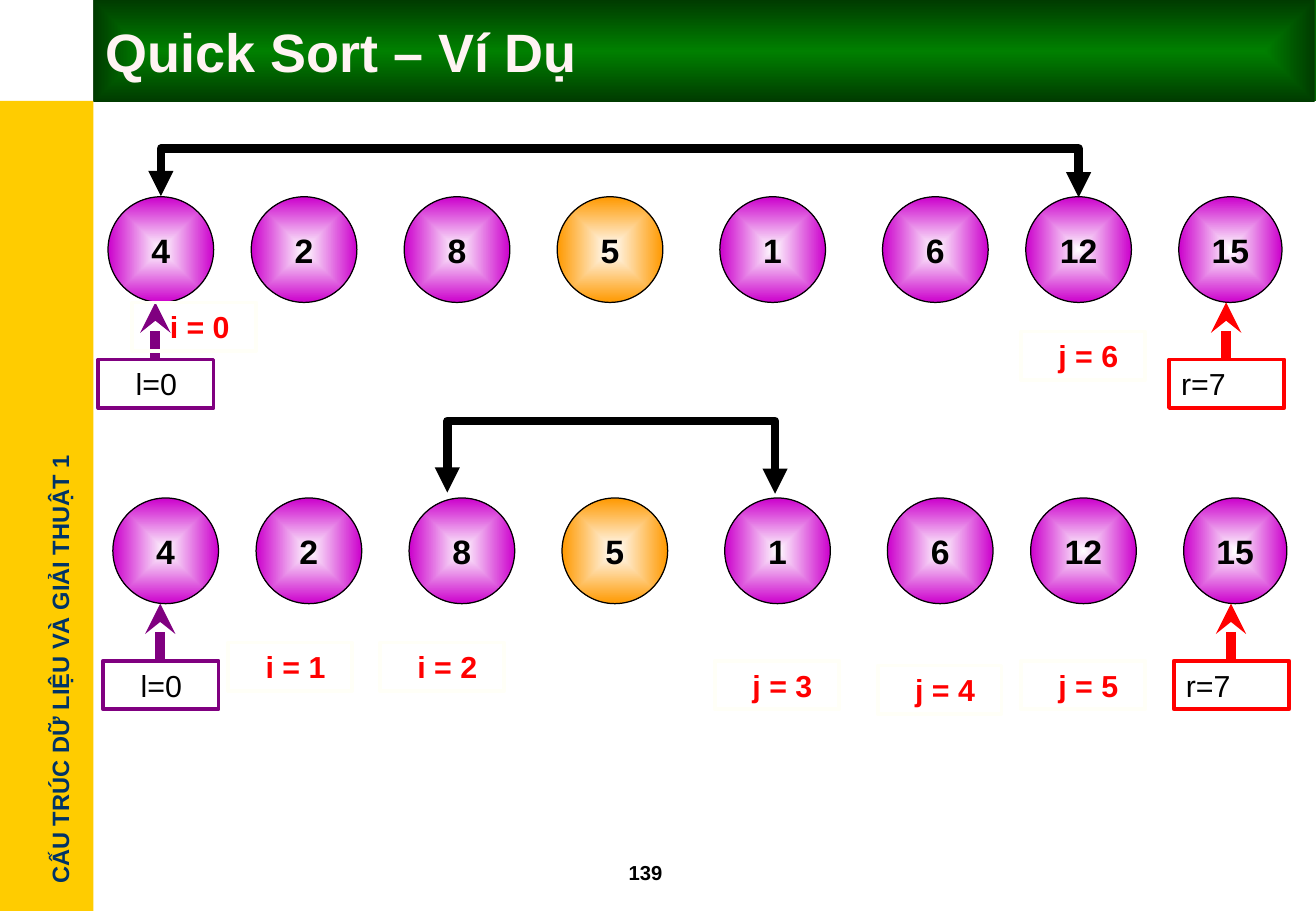
"""Build the Quick Sort example slide."""
from dataclasses import dataclass

from pptx import Presentation
from pptx.dml.color import RGBColor
from pptx.dml.fill import FillFormat
from pptx.enum.shapes import MSO_CONNECTOR, MSO_SHAPE
from pptx.enum.text import MSO_ANCHOR, MSO_AUTO_SIZE, PP_ALIGN
from pptx.oxml.ns import qn
from pptx.shapes.autoshape import Shape
from pptx.shapes.connector import Connector
from pptx.slide import Slide
from pptx.text.text import TextFrame
from pptx.util import Inches, Pt
from lxml import etree

RECTANGLE, OVAL = MSO_SHAPE.RECTANGLE, MSO_SHAPE.OVAL
STRAIGHT, ELBOW = MSO_CONNECTOR.STRAIGHT, MSO_CONNECTOR.ELBOW
TOP, MIDDLE = MSO_ANCHOR.TOP, MSO_ANCHOR.MIDDLE
LEFT, CENTER = PP_ALIGN.LEFT, PP_ALIGN.CENTER
NO_AUTOFIT = MSO_AUTO_SIZE.NONE

FONT = "Arial"
COLORS = {
    "sidebar": "FFCC00", "course": "003366", "title": "FFF3F3",
    "bar_dark": "002F00", "bar_green": "006600",
    "title_center": "008000", "title_edge": "003B00",
    "white": "FFFFFF", "black": "000000",
    "value": "CC00CC", "pivot": "FF9900",
    "left": "800080", "right": "FF0000",
    "index": "FF0000", "index_border": "FFFFF7",
}
VALUES = (4, 2, 8, 5, 1, 6, 12, 15)
PIVOT = 5
VALUE_OFFSETS = (0, 1.18, 2.44, 3.7, 5.04, 6.38, 7.56, 8.82)
DIAMETER = 0.87
SWAP_DEPTH = 0.01
LABEL_INDENT = 0.21


@dataclass(frozen=True)
class Swap:
    """Bracket joining the two values to exchange."""
    start: float
    end: float
    top: float
    bottom: float


@dataclass(frozen=True)
class Step:
    """One row of the array with its swap bracket."""
    left: float
    top: float
    swap: Swap


@dataclass(frozen=True)
class Pointer:
    """Boundary pointer, placed relative to its row."""
    text: str
    box_offset: float
    arrow_offset: float
    color: str
    indent: float


@dataclass(frozen=True)
class IndexLabel:
    """Running index value."""
    text: str
    left: float
    top: float


STEPS = (
    Step(0.89, 1.62, Swap(1.32, 8.88, 1.22, 1.62)),
    Step(0.93, 4.1, Swap(3.68, 6.38, 3.46, 4.06)),
)
POINTERS = (
    Pointer("l=0", -0.08, 0.39, "left", LABEL_INDENT),
    Pointer("r=7", 8.74, 9.21, "right", 0),
)
INDEX_LABELS = (
    IndexLabel("j = 6", 8.41, 2.73),
    IndexLabel("i = 0", 1.09, 2.49),
    IndexLabel("i = 1", 1.88, 5.29),
    IndexLabel("j = 5", 8.41, 5.44),
    IndexLabel("i = 2", 3.13, 5.29),
    IndexLabel("j = 4", 7.23, 5.48),
    IndexLabel("j = 3", 5.89, 5.44),
)


def rgb(name: str) -> RGBColor:
    """Return a named colour."""
    return RGBColor.from_string(COLORS[name])


def write(frame: TextFrame, text: str, size: float, color: str, bold: bool = True,
          align: PP_ALIGN = LEFT, anchor: MSO_ANCHOR = TOP, wrap: bool = True,
          indent: float = 0) -> None:
    """Write one formatted run into a text frame."""
    frame.auto_size = NO_AUTOFIT
    frame.word_wrap = wrap
    frame.vertical_anchor = anchor
    paragraph = frame.paragraphs[0]
    paragraph.alignment = align
    if indent:
        paragraph._p.get_or_add_pPr().set("marL", str(Inches(indent)))
    run = paragraph.add_run()
    run.text = text
    run.font.name = FONT
    run.font.size = Pt(size)
    run.font.bold = bold
    run.font.color.rgb = rgb(color)


def fill_gradient(fill: FillFormat, first: str, last: str, from_center: bool = True) -> None:
    """Apply a two-colour gradient, rectangular or horizontal."""
    fill.gradient()
    for stop, color in zip(fill.gradient_stops, (first, last)):
        stop.color.rgb = rgb(color)
    fill.gradient_angle = 0
    if from_center:
        linear = next(fill._xPr.iter(qn("a:lin")))
        gradient = linear.getparent()
        gradient.remove(linear)
        shade = etree.SubElement(gradient, qn("a:path"), path="rect")
        etree.SubElement(shade, qn("a:fillToRect"), dict.fromkeys("ltrb", "50000"))


def add_box(slide: Slide, kind: MSO_SHAPE, left: float, top: float, width: float,
            height: float, line: str = "", weight: float = 0.75) -> Shape:
    """Add an unfilled shape with an optional outline."""
    shape = slide.shapes.add_shape(kind, Inches(left), Inches(top), Inches(width), Inches(height))
    shape.shadow.inherit = False
    shape.fill.background()
    if line:
        shape.line.color.rgb = rgb(line)
        shape.line.width = Pt(weight)
    else:
        shape.line.fill.background()
    return shape


def add_arrow(slide: Slide, kind: MSO_CONNECTOR, start: tuple[float, float],
              end: tuple[float, float], color: str, weight: float,
              heads: dict[str, str]) -> Connector:
    """Add a connector with the given arrowheads."""
    connector = slide.shapes.add_connector(kind, *map(Inches, start + end))
    connector.line.color.rgb = rgb(color)
    connector.line.width = Pt(weight)
    outline = connector.line._get_or_add_ln()
    for side, head in heads.items():
        etree.SubElement(outline, qn(f"a:{side}"), type=head)
    etree.SubElement(connector._element.spPr, qn("a:effectLst"))
    return connector


def add_swap(slide: Slide, swap: Swap) -> None:
    """Add a double-headed elbow bracket above two values."""
    center, half = (swap.start + swap.end) / 2, (swap.end - swap.start) / 2
    connector = add_arrow(slide, ELBOW, (center + SWAP_DEPTH, swap.bottom - half),
                          (center, swap.bottom + half), "black", 5,
                          {"headEnd": "triangle", "tailEnd": "triangle"})
    properties = connector._element.spPr
    properties.find(qn("a:xfrm")).set("rot", str(270 * 60000))
    bend = round((swap.top - swap.bottom) / SWAP_DEPTH * 100000)
    adjustments = next(properties.iter(qn("a:avLst")))
    etree.SubElement(adjustments, qn("a:gd"), name="adj1", fmla=f"val {bend}")


def add_step(slide: Slide, step: Step) -> None:
    """Draw the values, boundary pointers and swap of one step."""
    for value, offset in zip(VALUES, VALUE_OFFSETS):
        width = DIAMETER if value != VALUES[-1] else 0.85
        circle = add_box(slide, OVAL, step.left + offset, step.top, width, DIAMETER, "black")
        fill_gradient(circle.fill, "white", "pivot" if value == PIVOT else "value")
        write(circle.text_frame, str(value), 20, "black", align=CENTER, anchor=MIDDLE, wrap=False)
    box_top = step.top + 1.34
    for pointer in POINTERS:
        box = add_box(slide, RECTANGLE, step.left + pointer.box_offset, box_top, 0.95, 0.4,
                      pointer.color, 2.25)
        write(box.text_frame, pointer.text, 18, "black", bold=False, indent=pointer.indent)
        arrow_left = step.left + pointer.arrow_offset
        add_arrow(slide, STRAIGHT, (arrow_left, box_top), (arrow_left, step.top + DIAMETER),
                  pointer.color, 6, {"tailEnd": "stealth"})
    add_swap(slide, step.swap)


def add_frame(slide: Slide) -> None:
    """Draw the sidebar, header, page number and title."""
    sidebar = add_box(slide, RECTANGLE, 0, 0.83, 0.77, 6.67)
    sidebar.fill.solid()
    sidebar.fill.fore_color.rgb = rgb("sidebar")
    course = slide.shapes.add_textbox(Inches(-1.37), Inches(5.34), Inches(3.73), Inches(0.34))
    course.rotation = 270
    write(course.text_frame, "CẤU TRÚC DỮ LIỆU VÀ GIẢI THUẬT 1", 14, "course", wrap=False)
    header = add_box(slide, RECTANGLE, 0.77, 0, 10.08, 0.83)
    fill_gradient(header.fill, "bar_dark", "bar_green", from_center=False)
    number = slide.shapes.add_textbox(Inches(5.08), Inches(7.03), Inches(0.83), Inches(0.3))
    write(number.text_frame, "139", 12, "black")
    title = slide.shapes.title
    title.left, title.top, title.width, title.height = map(Inches, (0.77, 0, 10.06, 0.84))
    fill_gradient(title.fill, "title_center", "title_edge")
    write(title.text_frame, "Quick Sort – Ví Dụ", 32, "title", anchor=MIDDLE)
    slide.shapes._spTree.append(title._element)


def main() -> None:
    """Build and save the presentation."""
    presentation = Presentation()
    presentation.slide_width, presentation.slide_height = Inches(10.84), Inches(7.5)
    slide = presentation.slides.add_slide(presentation.slide_layouts[5])
    add_frame(slide)
    for step in STEPS:
        add_step(slide, step)
    for label in INDEX_LABELS:
        box = add_box(slide, RECTANGLE, label.left, label.top, 1.02, 0.4, "index_border", 2.25)
        write(box.text_frame, label.text, 18, "index", indent=LABEL_INDENT)
    presentation.save("out.pptx")


if __name__ == "__main__":
    main()
